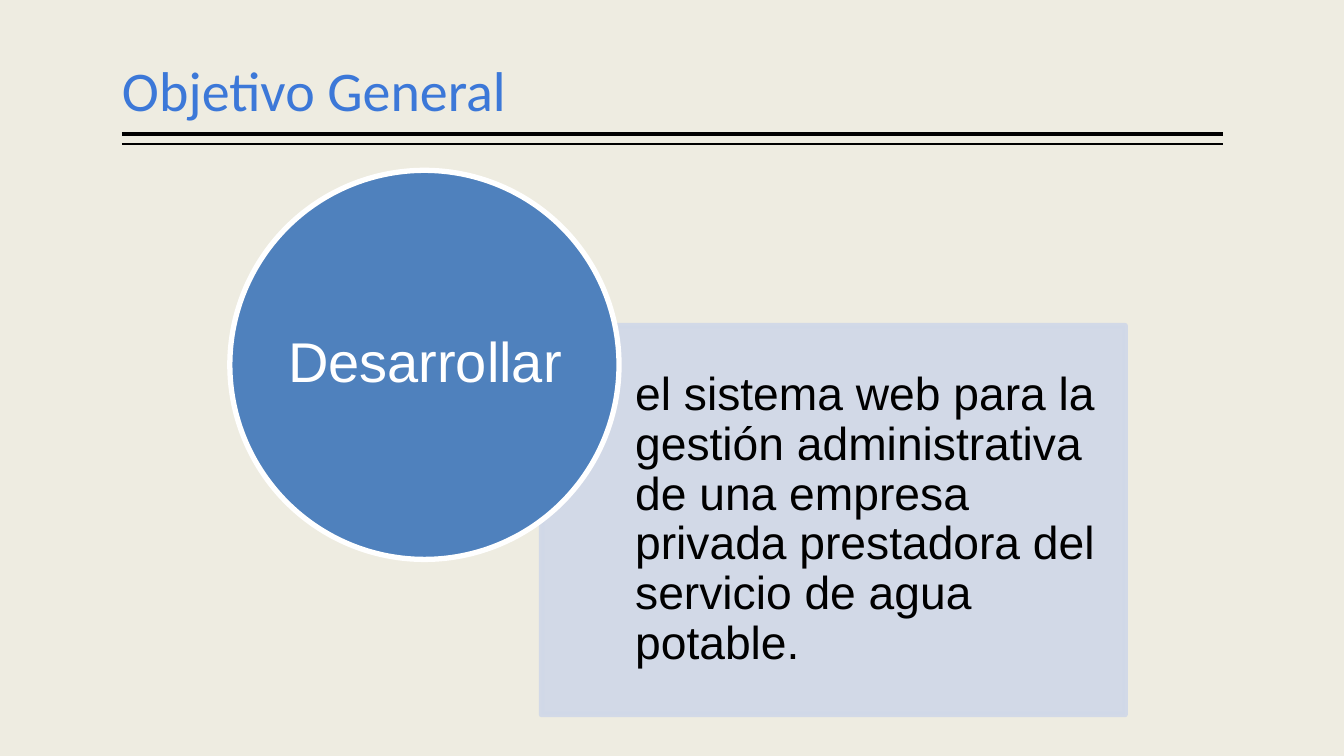
import pptx
import pptx.util
import pptx.dml.color
import pptx.enum.shapes
import pptx.enum.text
import pptx.oxml
import pptx.oxml.ns
from lxml import etree

Inches = pptx.util.Inches
Pt = pptx.util.Pt
Kind = pptx.enum.shapes.MSO_SHAPE
Align = pptx.enum.text.PP_ALIGN
Anchor = pptx.enum.text.MSO_ANCHOR
HUES = {"back": "EEECE1", "title": "3C78D8", "ink": "000000",
        "panel": "D0D8E8", "disc": "4F81BD", "white": "FFFFFF"}


class Deck:
    """Hold the style and the current slide, and add elements to it."""

    def __init__(self, wide, high):
        self.prs = pptx.Presentation()
        self.prs.slide_width, self.prs.slide_height = Inches(wide), Inches(high)
        self.slide = self.prs.slides.add_slide(self.prs.slide_layouts[5])
        self.paint(self.slide.background.fill, "back")

    def paint(self, fill, hue, alpha=100):
        fill.solid()
        fill.fore_color.rgb = pptx.dml.color.RGBColor.from_string(HUES[hue])
        if alpha < 100:
            tag = pptx.oxml.ns.qn("a:srgbClr")
            node = next(fill._xPr.iter(tag))
            etree.SubElement(node, pptx.oxml.ns.qn("a:alpha"), val=str(alpha * 1000))

    def label(self, shape, text, size, hue, font="Arial", align=Align.LEFT,
              anchor=Anchor.MIDDLE, inset=(0, 0, 0, 0), after=0):
        frame = shape.text_frame
        frame.text = text
        left, top, right, low = map(Inches, inset)
        para = frame.paragraphs[0]
        face = para.runs[0].font
        looks = (
            (frame, {"word_wrap": True, "auto_size": pptx.enum.text.MSO_AUTO_SIZE.NONE,
                     "vertical_anchor": anchor, "margin_left": left, "margin_top": top,
                     "margin_right": right, "margin_bottom": low}),
            (para, {"alignment": align, "line_spacing": 0.9, "space_after": Pt(after)}),
            (face, {"name": font, "size": Pt(size)}),
        )
        for part, look in looks:
            for name, value in look.items():
                setattr(part, name, value)
        self.paint(face.fill, hue)

    def title(self, text, box):
        shape = self.slide.shapes.title
        for name, value in zip(("left", "top", "width", "height"), box):
            setattr(shape, name, Inches(value))
        self.label(shape, text, 40, "title", "Calibri", anchor=Anchor.BOTTOM,
                   inset=(0, 0.05, 0, 0.05))

    def text(self, text, box, size, hue, **look):
        shape = self.slide.shapes.add_textbox(*map(Inches, box))
        self.label(shape, text, size, hue, **look)

    def shape(self, kind, box, hue, edge, alpha=100):
        shape = self.slide.shapes.add_shape(kind, *map(Inches, box))
        shape.shadow.inherit = False
        self.paint(shape.fill, hue, alpha)
        shape.line.width = Pt(3.78)
        self.paint(shape.line.fill, edge, alpha)

    def rule(self, left, right, y, width):
        line = self.slide.shapes.add_connector(
            pptx.enum.shapes.MSO_CONNECTOR.STRAIGHT,
            *map(Inches, (left, y, right, y)))
        line.line.width = Pt(width)
        self.paint(line.line.fill, "ink")
        etree.SubElement(line._element.spPr, pptx.oxml.ns.qn("a:effectLst"))


def main():
    deck = Deck(13.33, 7.5)
    for y, width in ((1.33, 3), (1.43, 1)):
        deck.rule(1.21, 12.13, y, width)
    deck.title("Objetivo General", (1.21, 0.08, 10.92, 1.2))
    deck.shape(Kind.RECTANGLE, (5.37, 3.23, 5.79, 3.86), "panel", "panel", 90)
    deck.text("el sistema web para la gestión administrativa de una empresa "
              "privada prestadora del servicio de agua potable.",
              (6.3, 3.23, 4.87, 3.86), 33, "ink",
              inset=(0, 0.26, 0.26, 0.26), after=11.55)
    deck.shape(Kind.OVAL, (2.28, 1.69, 3.86, 3.86), "disc", "white")
    deck.text("Desarrollar", (2.85, 2.25, 2.73, 2.73), 40, "white",
              align=Align.CENTER, after=14)
    deck.prs.save("out.pptx")


if __name__ == "__main__":
    main()
